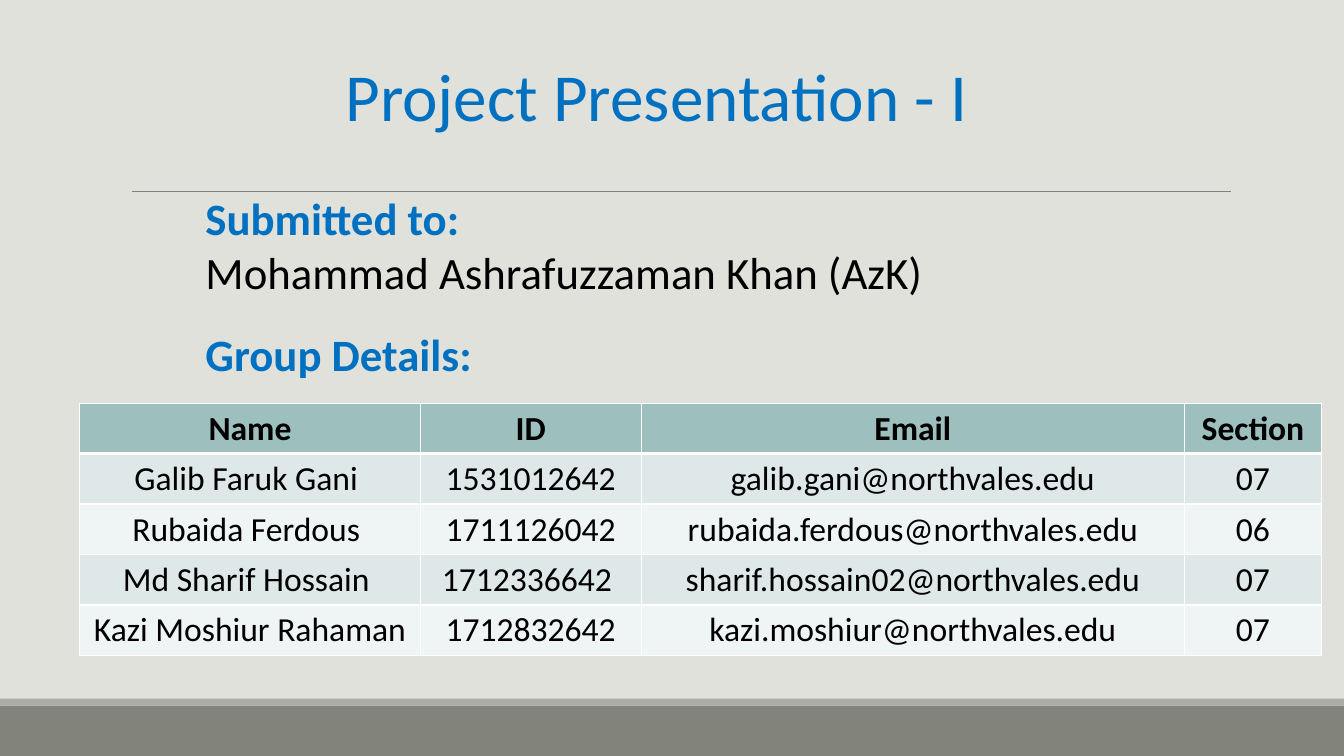
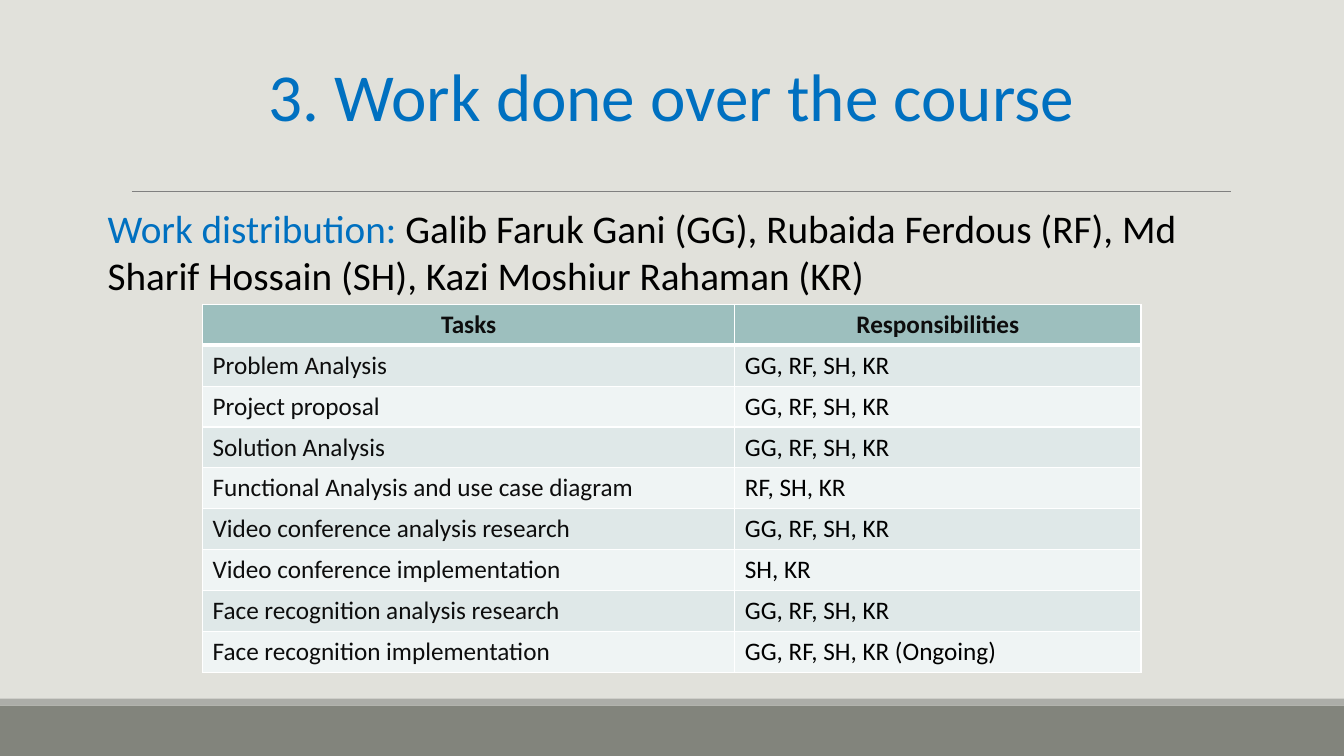
from lxml import etree
from pptx import Presentation
from pptx.dml.color import RGBColor
from pptx.enum.shapes import MSO_CONNECTOR, MSO_SHAPE
from pptx.enum.text import MSO_ANCHOR, MSO_AUTO_SIZE, PP_ALIGN
from pptx.oxml.ns import qn
from pptx.util import Pt

LEFT, CENTER = PP_ALIGN.LEFT, PP_ALIGN.CENTER
TOP = MSO_ANCHOR.TOP
NO_AUTOSIZE = MSO_AUTO_SIZE.NONE
RECTANGLE = MSO_SHAPE.RECTANGLE
STRAIGHT = MSO_CONNECTOR.STRAIGHT

PAPER = RGBColor(0xE1, 0xE1, 0xDB)
BAND = RGBColor(0x82, 0x84, 0x7C)
BAND_EDGE = RGBColor(0xAC, 0xAD, 0xA8)
RULE = RGBColor(0x80, 0x80, 0x80)
BLUE = RGBColor(0x00, 0x70, 0xC0)
BLACK = RGBColor(0x00, 0x00, 0x00)
INK = RGBColor(0x0D, 0x0D, 0x0D)
WHITE = RGBColor(0xFF, 0xFF, 0xFF)
HEADER = RGBColor(0x9D, 0xBF, 0xBE)
ROW_FILLS = (RGBColor(0xDF, 0xE8, 0xE8), RGBColor(0xEF, 0xF4, 0xF4))

FONT = "Calibri"
WIDTH, HEIGHT = 960, 540
BAND_H, EDGE_H = 36, 5
RULE_LEFT, RULE_RIGHT, RULE_Y = 94.3, 879.1, 137
TITLE_ONLY = 5

MEMBERS = [
    ("Name", "ID", "Email", "Section"),
    ("Galib Faruk Gani ", "1531012642", "galib.gani@northvales.edu", "07"),
    ("Rubaida Ferdous ", "1711126042", "rubaida.ferdous@northvales.edu", "06"),
    ("Md Sharif Hossain ", "1712336642 ", "sharif.hossain02@northvales.edu", "07"),
    ("Kazi Moshiur Rahaman", "1712832642", "kazi.moshiur@northvales.edu", "07"),
]
EVERYONE = "GG, RF, SH, KR"
TASKS = [
    ("Tasks", "Responsibilities"),
    ("Problem Analysis ", EVERYONE),
    ("Project proposal ", EVERYONE),
    ("Solution Analysis", EVERYONE),
    ("Functional Analysis and use case diagram", "RF, SH, KR"),
    ("Video conference analysis research", EVERYONE),
    ("Video conference implementation", "SH, KR"),
    ("Face recognition analysis research", EVERYONE),
    ("Face recognition implementation ", EVERYONE + " (Ongoing)"),
]


def set_font(font, size, color, bold=False):
    """Give a paragraph or run font its face, size, colour and weight."""
    font.name, font.size, font.bold = FONT, Pt(size), bold
    font.color.rgb = color


def add_band(slide, top, height, color):
    """Draw a plain full-width band."""
    s = slide.shapes.add_shape(RECTANGLE, 0, Pt(top), Pt(WIDTH), Pt(height))
    s.shadow.inherit = False
    s.fill.solid()
    s.fill.fore_color.rgb = color
    s.line.fill.background()


def add_rule(slide):
    """Draw the thin line under the title."""
    line = slide.shapes.add_connector(
        STRAIGHT, Pt(RULE_LEFT), Pt(RULE_Y), Pt(RULE_RIGHT), Pt(RULE_Y))
    line.line.color.rgb = RULE
    line.line.width = Pt(0.5)
    etree.SubElement(line.element.spPr, qn("a:effectLst"))


def add_base_slide(prs, title, left, width):
    """Add a slide with background, bands, rule and a title in its box."""
    slide = prs.slides.add_slide(prs.slide_layouts[TITLE_ONLY])
    slide.background.fill.solid()
    slide.background.fill.fore_color.rgb = PAPER
    add_band(slide, HEIGHT - BAND_H, BAND_H, BAND)
    add_band(slide, HEIGHT - BAND_H - EDGE_H, EDGE_H, BAND_EDGE)
    add_rule(slide)
    s = slide.shapes.title
    s.left, s.top, s.width, s.height = Pt(left), Pt(35.3), Pt(width), Pt(65.5)
    tf = s.text_frame
    tf.text = title
    tf.word_wrap, tf.auto_size, tf.vertical_anchor = False, NO_AUTOSIZE, TOP
    p = tf.paragraphs[0]
    p.alignment = CENTER
    set_font(p.font, 48, BLUE)
    return slide


def add_text(slide, box, size, paragraphs):
    """Write paragraphs, each a list of (text, colour, bold) runs, in a box."""
    tf = slide.shapes.add_textbox(*map(Pt, box)).text_frame
    tf.word_wrap = True
    for i, runs in enumerate(paragraphs):
        p = tf.add_paragraph() if i else tf.paragraphs[0]
        for text, color, bold in runs:
            r = p.add_run()
            r.text = text
            set_font(r.font, size, color, bold)


def set_borders(cell, top, bottom):
    """Draw white cell borders, 1 pt at the sides."""
    tc_pr = cell._tc.get_or_add_tcPr()
    for side, width in (("L", 1), ("R", 1), ("T", top), ("B", bottom)):
        ln = etree.SubElement(tc_pr, qn("a:ln" + side), w=str(Pt(width)))
        fill = etree.SubElement(ln, qn("a:solidFill"))
        etree.SubElement(fill, qn("a:srgbClr"), val=str(WHITE))


def add_grid(slide, left, top, widths, row_h, rows, size, inks, align):
    """Add a banded table; inks holds one text colour per column."""
    table = slide.shapes.add_table(
        len(rows), len(widths), Pt(left), Pt(top),
        Pt(sum(widths)), Pt(row_h * len(rows))).table
    table.horz_banding = False
    for column, width in zip(table.columns, widths):
        column.width = Pt(width)
    for i, row in enumerate(rows):
        table.rows[i].height = Pt(row_h)
        is_header = i == 0
        for j, text in enumerate(row):
            cell = table.cell(i, j)
            set_borders(cell, 3 if i == 1 else 1, 3 if is_header else 1)
            cell.fill.solid()
            cell.fill.fore_color.rgb = HEADER if is_header else ROW_FILLS[(i - 1) % 2]
            cell.text = text
            p = cell.text_frame.paragraphs[0]
            p.alignment = CENTER if is_header else align
            set_font(p.font, size, inks[0] if is_header else inks[j], is_header)


def add_group_slide(prs):
    """Opening slide: supervisor and group members."""
    slide = add_base_slide(prs, "Project Presentation - I", 231.8, 474.5)
    add_text(slide, (139.7, 132.5, 532, 85), 32, [
        [("Submitted to:", BLUE, True)],
        [("Mohammad Ashrafuzzaman Khan (AzK)", BLACK, False)],
    ])
    add_text(slide, (139.7, 229.7, 207, 46), 32, [[("Group Details:", BLUE, True)]])
    add_grid(slide, 56.9, 288, (243.4, 157.7, 388.1, 97.9), 36, MEMBERS,
             24, (BLACK,) * 4, CENTER)


def add_work_slide(prs):
    """Work slide: who did which task."""
    slide = add_base_slide(prs, "3. Work done over the course", 181.4, 596.9)
    add_text(slide, (69.8, 142.6, 820, 75), 28, [[
        ("Work distribution: ", BLUE, False),
        ("Galib Faruk Gani (GG), Rubaida Ferdous (RF), Md Sharif Hossain (SH), "
         "Kazi Moshiur Rahaman (KR)", BLACK, False),
    ]])
    add_grid(slide, 144.7, 217.4, (380.2, 290.2), 29.2, TASKS,
             18, (INK, BLACK), LEFT)


prs = Presentation()
prs.slide_width, prs.slide_height = Pt(WIDTH), Pt(HEIGHT)
add_group_slide(prs)
add_work_slide(prs)
prs.save("out.pptx")
